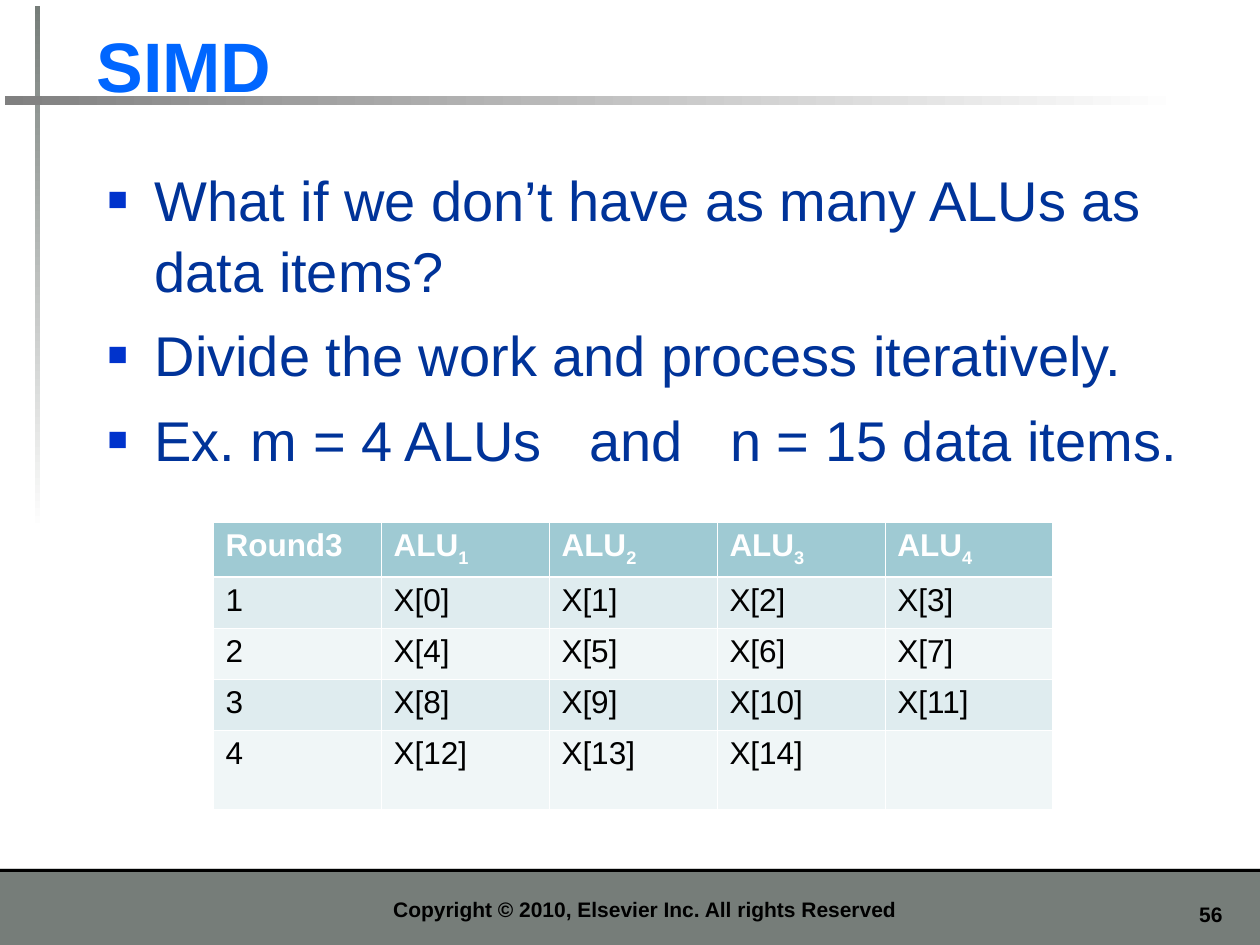
from lxml import etree
from pptx import Presentation
from pptx.dml.color import RGBColor
from pptx.enum.shapes import MSO_SHAPE
from pptx.enum.text import MSO_ANCHOR, MSO_AUTO_SIZE, PP_ALIGN
from pptx.oxml.ns import qn
from pptx.util import Pt

RECT = MSO_SHAPE.RECTANGLE
LEFT, CENTER, RIGHT = PP_ALIGN.LEFT, PP_ALIGN.CENTER, PP_ALIGN.RIGHT
TOP, BOTTOM = MSO_ANCHOR.TOP, MSO_ANCHOR.BOTTOM
FIXED = MSO_AUTO_SIZE.NONE
SCALE = 914400 / 126
FONT = "Arial"


def px(n):
    return round(n * SCALE)


def paint(value):
    return RGBColor.from_string(value)


def write(para, text, size=18, color="000000", bold=False, align=LEFT, base=0, track=0):
    para.alignment = align
    run = para.add_run()
    run.text = text
    font = run.font
    font.name, font.size, font.bold = FONT, Pt(size), bold
    font.color.rgb = paint(color)
    props = font._element
    if base:
        props.set("baseline", str(base * 1000))
    if track:
        props.set("spc", str(track * 100))


def place(shape, box):
    shape.left, shape.top, shape.width, shape.height = map(px, box)


def setup(frame, anchor):
    frame.word_wrap = True
    frame.auto_size = FIXED
    frame.vertical_anchor = anchor
    frame.margin_left = frame.margin_right = Pt(7.2)
    frame.margin_top = frame.margin_bottom = Pt(3.6)


def bar(slide, box, color, angle=None):
    shape = slide.shapes.add_shape(RECT, *map(px, box))
    shape.shadow.inherit = False
    shape.line.fill.background()
    if angle is None:
        shape.fill.solid()
        shape.fill.fore_color.rgb = paint(color)
        return
    shape.fill.gradient()
    shape.fill.gradient_angle = angle
    for stop, tone in zip(shape.fill.gradient_stops, (color, "FFFFFF")):
        stop.color.rgb = paint(tone)


def label(slide, box, text, **form):
    shape = slide.shapes.add_textbox(*map(px, box))
    setup(shape.text_frame, BOTTOM)
    write(shape.text_frame.paragraphs[0], text, **form)


def footer(slide, box):
    x, y, w, h = box
    bar(slide, box, "767D79")
    bar(slide, (x, y, w, 3), "000000")
    label(slide, (x + 144, y + 10, 1002, 49),
          "Copyright © 2010, Elsevier Inc. All rights Reserved",
          size=12, bold=True, align=CENTER)
    label(slide, (x + 1155, y + 26, 80, 38), "56", size=12, bold=True, align=RIGHT)


def header(slide, box):
    x, y, w, h = box
    bar(slide, (x + 35, y + 6, 5, 525), "767D79", 270)
    bar(slide, (x + 5, y + 96, 1180, 9), "808080", 0)
    title = slide.shapes.title
    slide.shapes._spTree.append(title._element)
    place(title, (x + 84, y + 16, 1142, 97))
    setup(title.text_frame, BOTTOM)
    write(title.text_frame.paragraphs[0], "SIMD", size=40, color="0066FF", bold=True)


def bullet(para):
    props = para._p.get_or_add_pPr()
    props.set("marL", str(px(47)))
    props.set("indent", str(px(-47)))
    tone = etree.SubElement(props, qn("a:buClr"))
    etree.SubElement(tone, qn("a:srgbClr"), val="0033CC")
    etree.SubElement(props, qn("a:buSzPct"), val="60000")
    etree.SubElement(props, qn("a:buFont"), typeface=FONT)
    etree.SubElement(props, qn("a:buChar"), char="■")


def points(slide, box):
    body = slide.placeholders[1]
    slide.shapes._spTree.append(body._element)
    place(body, box)
    frame = body.text_frame
    setup(frame, TOP)
    wide = (" ", 18)
    items = [
        [("What if we don’t have as many ALUs as data items?", 0)],
        [("Divide the work and process iteratively.", 0)],
        [("Ex. m = 4 ALUs", 0), wide, ("and", 0), wide, ("n = 15 data items.", 0)],
    ]
    for i, item in enumerate(items):
        para = frame.add_paragraph() if i else frame.paragraphs[0]
        bullet(para)
        para.space_before = Pt(8 if i else 0)
        para.line_spacing = 1.05
        for text, track in item:
            write(para, text, size=32, color="003399", track=track)


def edge(cell, row):
    props = cell._tc.get_or_add_tcPr()
    for side in "LRTB":
        thick = (row, side) in ((0, "B"), (1, "T"))
        line = etree.SubElement(props, qn("a:ln" + side), w=str(Pt(1.47 if thick else 0.45)))
        fill = etree.SubElement(line, qn("a:solidFill"))
        etree.SubElement(fill, qn("a:srgbClr"), val="FFFFFF")


def rounds(slide, box):
    lanes, count = 4, 15
    highs = [55, 51, 51, 51, 79]
    grid = slide.shapes.add_table(len(highs), lanes + 1, *map(px, box)).table
    for col in grid.columns:
        col.width = px(box[2] // (lanes + 1))
    for r, high in enumerate(highs):
        grid.rows[r].height = px(high)
        for c in range(lanes + 1):
            cell = grid.cell(r, c)
            edge(cell, r)
            cell.fill.solid()
            tone = ("F0F6F7", "DFECEF")[r % 2] if r else "9FCAD3"
            cell.fill.fore_color.rgb = paint(tone)
            para = cell.text_frame.paragraphs[0]
            item = (r - 1) * lanes + c - 1
            if r == 0:
                form = {"color": "FFFFFF", "bold": True}
                write(para, "ALU" if c else "Round3", **form)
                if c:
                    write(para, str(c), base=-25, **form)
            elif c == 0:
                write(para, str(r))
            elif item < count:
                write(para, f"X[{item}]")


def main():
    deck = Presentation()
    deck.slide_width, deck.slide_height = px(1260), px(945)
    slide = deck.slides.add_slide(deck.slide_layouts[1])
    footer(slide, (0, 869, 1260, 76))
    header(slide, (0, 0, 1260, 531))
    points(slide, (95, 156, 1139, 357))
    rounds(slide, (213, 522, 840, 287))
    deck.save("out.pptx")


if __name__ == "__main__":
    main()
